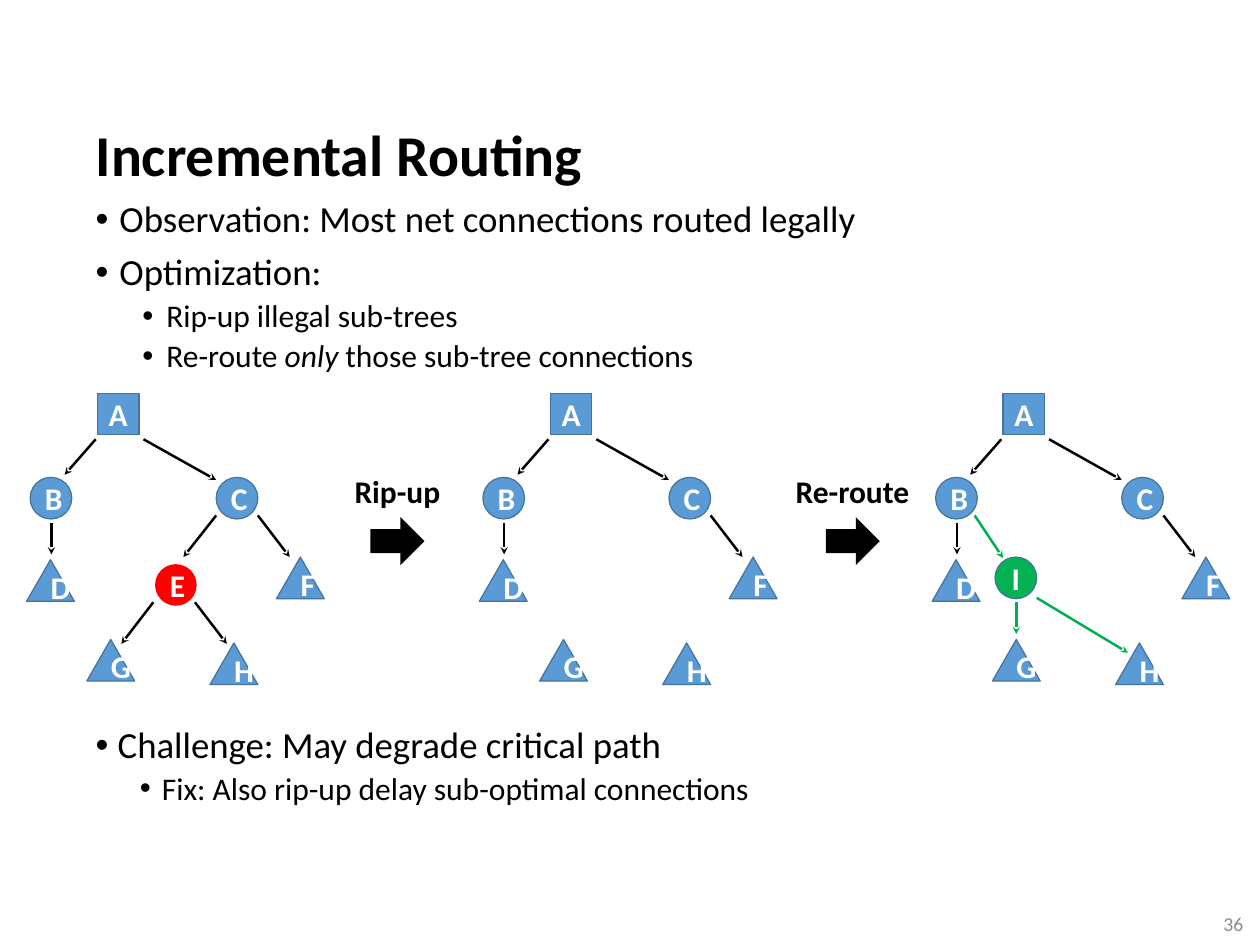
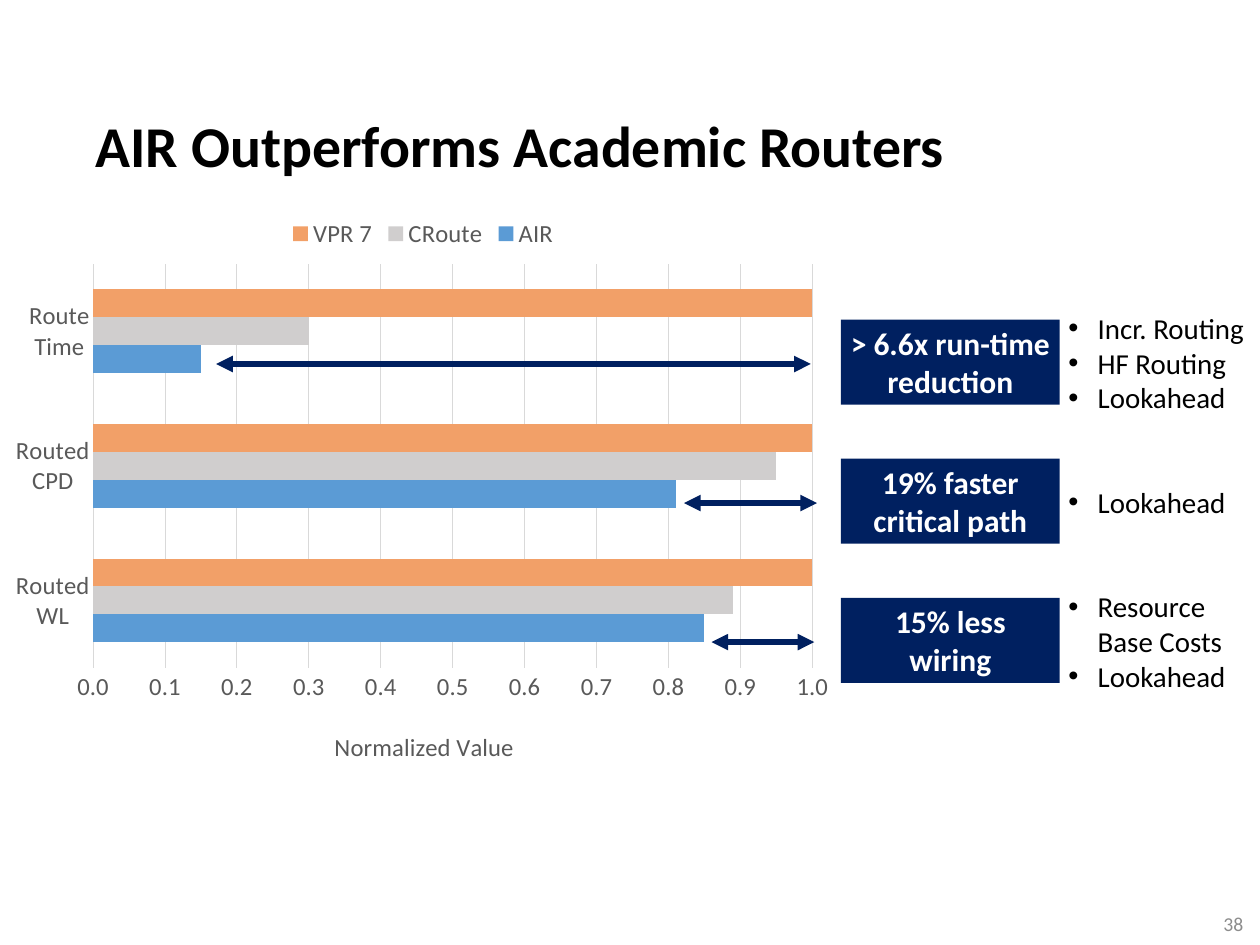
from lxml.etree import SubElement
from pptx import Presentation
from pptx.chart.data import CategoryChartData
from pptx.dml.color import RGBColor
from pptx.enum.chart import XL_CHART_TYPE, XL_LEGEND_POSITION, XL_TICK_MARK
from pptx.enum.shapes import MSO_CONNECTOR, MSO_SHAPE
from pptx.enum.text import MSO_ANCHOR, MSO_AUTO_SIZE, PP_ALIGN
from pptx.oxml import parse_xml
from pptx.oxml.ns import nsdecls, qn
from pptx.util import Pt

PX = 9144
FONT = "Calibri"
BLACK = RGBColor(0x00, 0x00, 0x00)
WHITE = RGBColor(0xFF, 0xFF, 0xFF)
BLUE = RGBColor(0x5B, 0x9B, 0xD5)
EDGE = RGBColor(0x43, 0x73, 0x9E)
RED = RGBColor(0xFF, 0x00, 0x00)
GREEN = RGBColor(0x04, 0xB1, 0x53)
LEAF = RGBColor(0x00, 0xB0, 0x50)
NAVY = RGBColor(0x00, 0x20, 0x60)
SILVER = RGBColor(0xD0, 0xCE, 0xCE)
PEACH = RGBColor(0xF2, 0xA0, 0x68)
GREY = RGBColor(0x59, 0x59, 0x59)
PALE = RGBColor(0xD9, 0xD9, 0xD9)
FAINT = RGBColor(0x8C, 0x8C, 0x8C)
LEFT, CENTER, RIGHT = PP_ALIGN.LEFT, PP_ALIGN.CENTER, PP_ALIGN.RIGHT
TOP, MIDDLE = MSO_ANCHOR.TOP, MSO_ANCHOR.MIDDLE
RECT, OVAL = MSO_SHAPE.RECTANGLE, MSO_SHAPE.OVAL
WEDGE, BLOCK = MSO_SHAPE.ISOSCELES_TRIANGLE, MSO_SHAPE.RIGHT_ARROW


def style(frame, size, color, bold=True, align=CENTER, anchor=MIDDLE):
    frame.word_wrap = True
    frame.auto_size = MSO_AUTO_SIZE.NONE
    frame.vertical_anchor = anchor
    for para in frame.paragraphs:
        para.alignment = align
        for run in para.runs:
            run.font.name = FONT
            run.font.size = Pt(size)
            run.font.bold = bold
            run.font.color.rgb = color


def arrow(shapes, ends, color, width, heads):
    line = shapes.add_connector(MSO_CONNECTOR.STRAIGHT, *[n * PX for n in ends])
    line.line.color.rgb = color
    line.line.width = Pt(width)
    node = line.line._get_or_add_ln()
    for tag, kind in heads.items():
        SubElement(node, qn(tag)).set("type", kind)
    SubElement(line._element.spPr, qn("a:effectLst"))


deck = Presentation()
deck.slide_width, deck.slide_height = 1422 * PX, 1067 * PX

slides = []
for name, top, height, number in [
    ("Incremental Routing", 126, 104, "36"),
    ("AIR Outperforms Academic Routers", 99, 139, "38"),
]:
    slide = deck.slides.add_slide(deck.slide_layouts[5])
    title = slide.shapes.title
    title.left, title.top = 98 * PX, top * PX
    title.width, title.height = 1227 * PX, height * PX
    title.text_frame.text = name
    title.text_frame.paragraphs[0].line_spacing = 0.9
    style(title.text_frame, 46.9, BLACK, align=LEFT)
    page = slide.shapes.add_textbox(1316 * PX, 1014 * PX, 97 * PX, 57 * PX)
    page.text_frame.text = number
    style(page.text_frame, 16, FAINT, False, RIGHT)
    slides.append(slide)
routing, results = slides

nodes = {
    "A": (RECT, 110, 444, BLUE),
    "B": (OVAL, 34, 539, BLUE),
    "C": (OVAL, 244, 539, BLUE),
    "D": (WEDGE, 30, 632, BLUE),
    "E": (OVAL, 175, 637, RED),
    "F": (WEDGE, 312, 629, BLUE),
    "G": (WEDGE, 98, 722, BLUE),
    "H": (WEDGE, 237, 726, BLUE),
    "I": (OVAL, 101, 629, GREEN),
}
edges = {
    "AB": (108, 496, 73, 536),
    "AC": (162, 496, 244, 542),
    "BD": (58, 590, 58, 626),
    "CF": (291, 582, 327, 629),
    "CE": (244, 582, 207, 629),
    "EH": (220, 680, 256, 727),
    "EG": (173, 680, 137, 727),
    "BI": (78, 582, 110, 630),
    "IG": (125, 680, 125, 716),
    "IH": (148, 675, 251, 737),
}
for index, members in enumerate(["ABCDEFGH", "ABCDFGH", "ABCDFGHI"]):
    shift = 511 * index
    tree = routing.shapes.add_group_shape().shapes
    for name in members:
        kind, x, y, color = nodes[name]
        width = 54 if kind == WEDGE else 47
        node = tree.add_shape(kind, (x + shift) * PX, y * PX, width * PX, 47 * PX)
        node.shadow.inherit = False
        node.fill.solid()
        node.fill.fore_color.rgb = color
        if color == RED:
            node.line.fill.background()
        else:
            node.line.color.rgb = EDGE
            node.line.width = Pt(1)
        label = node
        if kind == WEDGE:
            label = tree.add_textbox((x + shift + 18) * PX, (y + 4) * PX, 19 * PX, 53 * PX)
        label.text_frame.text = name
        style(label.text_frame, 25.6, WHITE)
    for pair, (x1, y1, x2, y2) in edges.items():
        if set(pair) <= set(members):
            color = LEAF if "I" in pair else BLACK
            arrow(tree, (x1 + shift, y1, x2 + shift, y2), color, 2, {"a:tailEnd": "stealth"})

for name, x, left, width in [("Rip-up", 418, 389, 119), ("Re-route", 932, 879, 166)]:
    step = routing.shapes.add_shape(BLOCK, x * PX, 584 * PX, 61 * PX, 54 * PX)
    step.shadow.inherit = False
    step.fill.solid()
    step.fill.fore_color.rgb = BLACK
    step.line.fill.background()
    label = routing.shapes.add_textbox(left * PX, 528 * PX, width * PX, 53 * PX)
    label.text_frame.text = name
    style(label.text_frame, 25.6, BLACK, anchor=TOP)

data = CategoryChartData(number_format="#,##0.0")
data.categories = ["Routed\nWL", "Routed\nCPD", "Route\nTime"]
data.add_series("AIR", [0.85, 0.81, 0.15])
data.add_series("CRoute", [0.89, 0.95, 0.3])
data.add_series("VPR 7", [1, 1, 1])
chart = results.shapes.add_chart(
    XL_CHART_TYPE.BAR_CLUSTERED, 0, 234 * PX, 955 * PX, 642 * PX, data
).chart
chart.font.name, chart.font.size = FONT, Pt(20)
chart.font.color.rgb = GREY
chart.has_title = False
chart.has_legend = True
chart.legend.position = XL_LEGEND_POSITION.TOP
chart.legend.include_in_layout = False
plot = chart.plots[0]
plot.gap_width = 182
plot.vary_by_categories = False
for series, color in zip(plot.series, [BLUE, SILVER, PEACH]):
    series.format.fill.solid()
    series.format.fill.fore_color.rgb = color

for axis in (chart.category_axis, chart.value_axis):
    axis.major_tick_mark = axis.minor_tick_mark = XL_TICK_MARK.NONE
    axis.tick_labels.font.name = FONT
    axis.tick_labels.font.size = Pt(20)
    axis.tick_labels.font.color.rgb = GREY
chart.category_axis.format.line.color.rgb = PALE
chart.category_axis.format.line.width = Pt(0.75)
axis.format.line.fill.background()
axis.minimum_scale, axis.maximum_scale, axis.major_unit = 0, 1, 0.1
axis.tick_labels.number_format = "#,##0.0"
axis.tick_labels.number_format_is_linked = False
axis.has_major_gridlines = True
axis.major_gridlines.format.line.color.rgb = PALE
axis.major_gridlines.format.line.width = Pt(0.75)
caption = axis.axis_title
caption.text_frame.text = "Normalized Value"
font = caption.text_frame.paragraphs[0].runs[0].font
font.name, font.size, font.bold = FONT, Pt(20), False
font.color.rgb = GREY

area = chart._chartSpace.find(".//" + qn("c:plotArea"))
for owner, place, parts in [
    (area, 0, [("layoutTarget", "inner"), ("xMode", "edge"), ("yMode", "edge"),
               ("x", 0.11), ("y", 0.1), ("w", 0.85), ("h", 0.71)]),
    (caption._element, 1, [("xMode", "edge"), ("yMode", "edge"), ("x", 0.39), ("y", 0.91)]),
]:
    old = owner.find(qn("c:layout"))
    if old is not None:
        owner.remove(old)
    layout = parse_xml(f"<c:layout {nsdecls('c')}><c:manualLayout/></c:layout>")
    for tag, value in parts:
        SubElement(layout[0], qn("c:" + tag)).set("val", str(value))
    owner.insert(place, layout)

MAIN, SUB = (27, 27, 29.9, 10.7, 0.9), (80, 27, 25.6, 5.3, 0.9)
LAST, FIX = (25, 25, 29.9, 10, 0.9), (75, 25, 25.6, 5, 0.9)
SIDE = (33, 33, 23.5, 0, 1.0)
lists = [
    (routing, (98, 222, 910, 229), TOP, [
        ("Observation: Most net connections routed legally", MAIN),
        ("Optimization:", MAIN),
        ("Rip-up illegal sub-trees", SUB),
        ("Re-route _only_ those sub-tree connections", SUB),
    ]),
    (routing, (98, 816, 1227, 147), TOP, [
        ("Challenge: May degrade critical path", LAST),
        ("Fix: Also rip-up delay sub-optimal connections", FIX),
    ]),
]

for row, (claim, start, end, causes) in enumerate([
    ("> 6.6x run-time reduction", 244, 915, ["Incr. Routing", "HF Routing", "Lookahead"]),
    ("19% faster critical path", 772, 922, ["Lookahead"]),
    ("15% less\nwiring", 803, 919, ["Resource Base Costs", "Lookahead"]),
]):
    top = 361 + 157 * row
    box = results.shapes.add_shape(RECT, 949 * PX, top * PX, 247 * PX, 96 * PX)
    box.shadow.inherit = False
    box.fill.solid()
    box.fill.fore_color.rgb = NAVY
    box.line.fill.background()
    box.text_frame.margin_left = box.text_frame.margin_right = 8 * PX
    box.text_frame.text = claim
    style(box.text_frame, 25.6, WHITE)
    arrow(results.shapes, (start, top + 50, end, top + 50), NAVY, 4.5,
          {"a:headEnd": "triangle", "a:tailEnd": "triangle"})
    lists.append((results, (1196, top - 16, 226, 129), MIDDLE, [(text, SIDE) for text in causes]))

for slide, bounds, anchor, items in lists:
    frame = slide.shapes.add_textbox(*[n * PX for n in bounds]).text_frame
    for index, (text, (indent, hang, size, before, spacing)) in enumerate(items):
        para = frame.add_paragraph() if index else frame.paragraphs[0]
        props = para._p.get_or_add_pPr()
        props.set("marL", str(indent * PX))
        props.set("indent", str(-hang * PX))
        SubElement(props, qn("a:buFont")).set("typeface", "Arial")
        SubElement(props, qn("a:buChar")).set("char", "•")
        para.line_spacing = spacing
        para.space_before = Pt(before if index else 0)
        para.font.size = Pt(size)
        for turn, part in enumerate(text.split("_")):
            run = para.add_run()
            run.text = part
            run.font.italic = turn % 2 == 1
    style(frame, size, BLACK, False, LEFT, anchor)
    for para, (text, level) in zip(frame.paragraphs, items):
        for run in para.runs:
            run.font.size = Pt(level[2])

deck.save("out.pptx")
